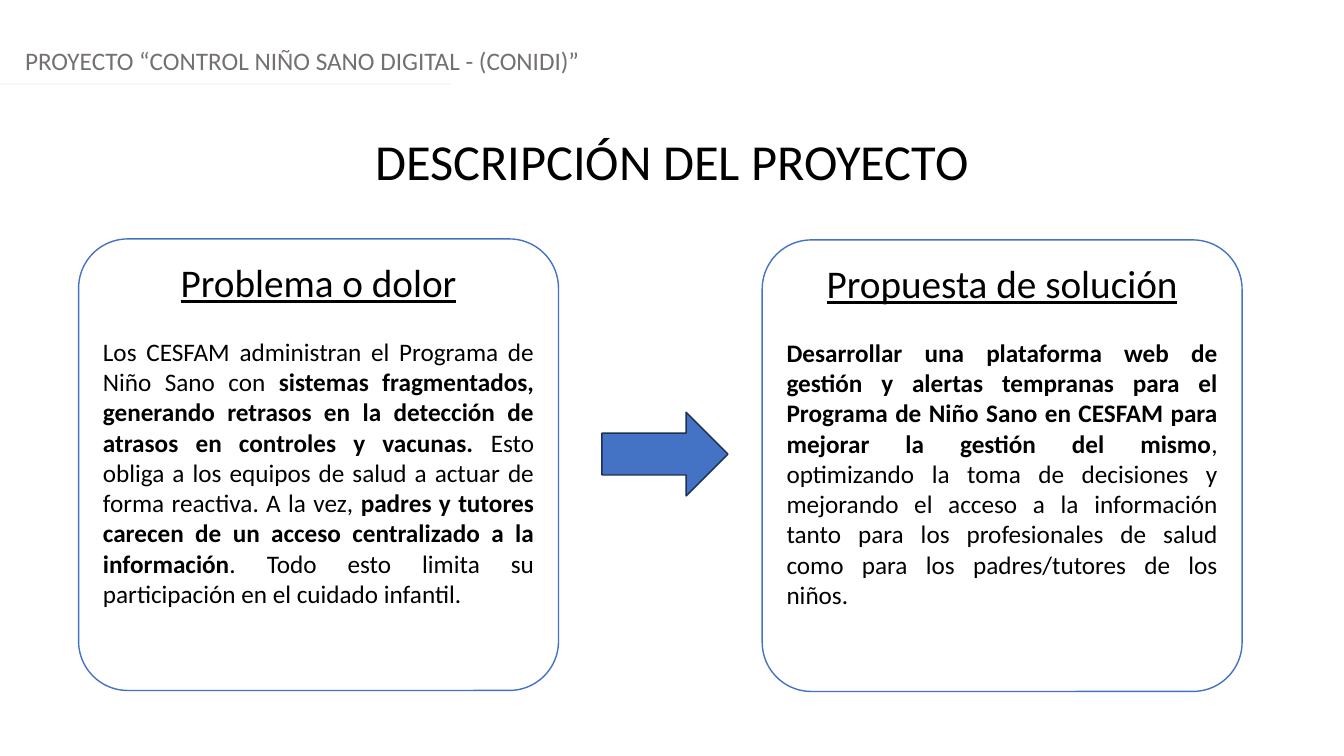
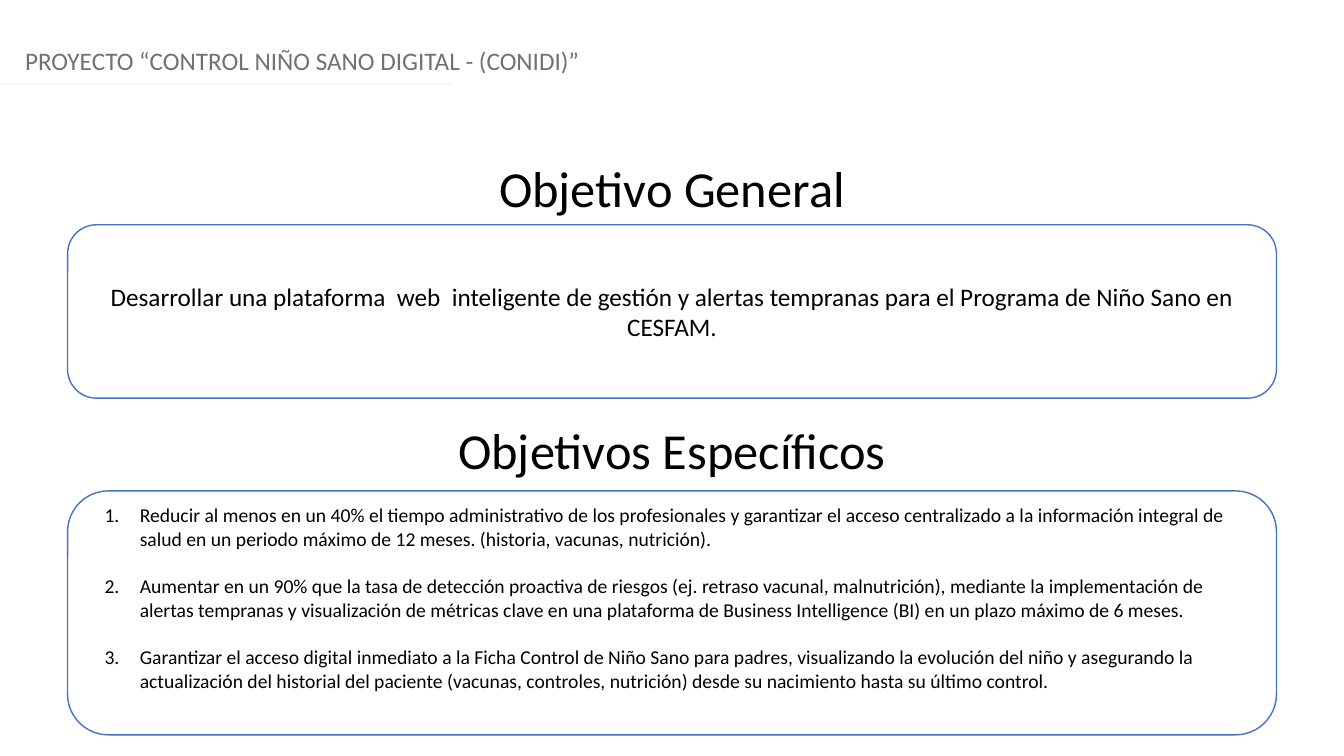
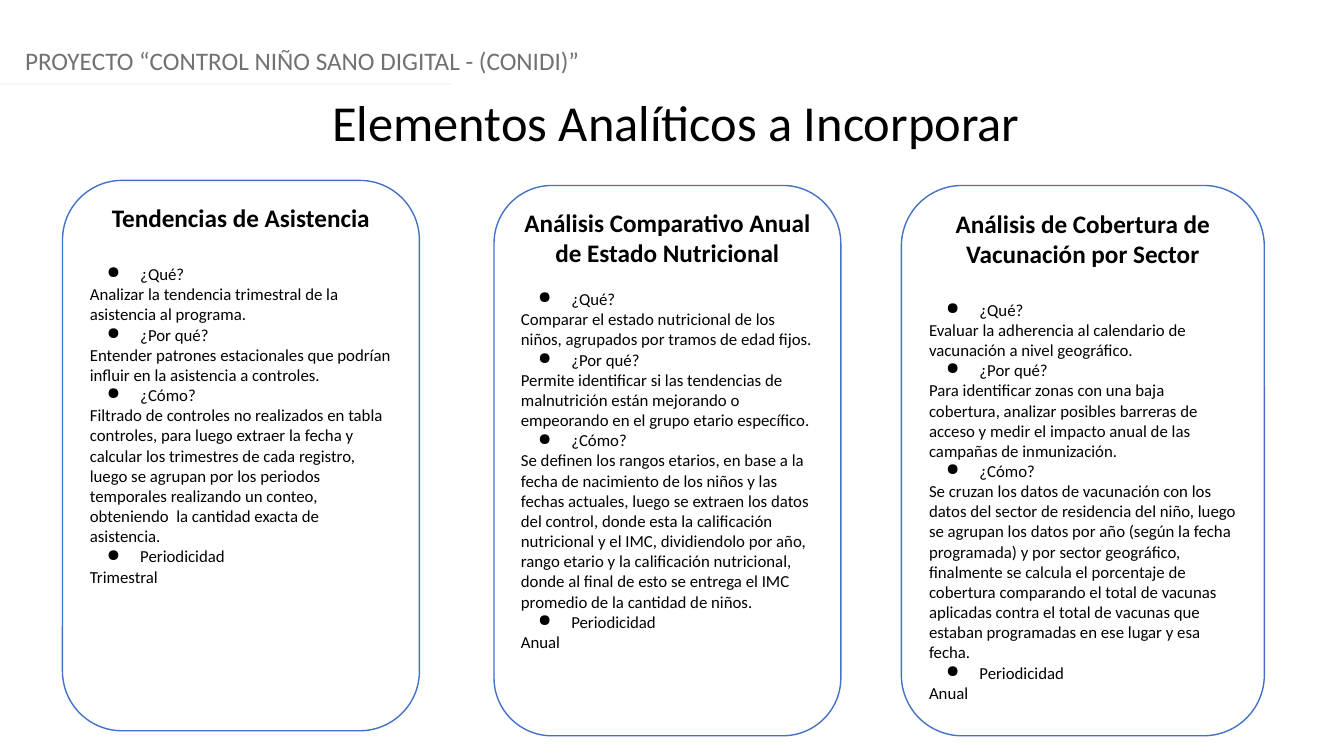
from dataclasses import dataclass

from pptx import Presentation
from pptx.dml.color import RGBColor
from pptx.enum.shapes import MSO_CONNECTOR, MSO_SHAPE
from pptx.enum.text import MSO_ANCHOR, PP_ALIGN
from pptx.oxml.ns import qn
from pptx.util import Inches, Pt
from lxml.etree import SubElement


@dataclass(frozen=True)
class Theme:
    font: str = "Calibri"
    ink: RGBColor = RGBColor(0, 0, 0)
    muted: RGBColor = RGBColor(0x75, 0x70, 0x70)
    paper: RGBColor = RGBColor(0xFF, 0xFF, 0xFF)
    accent: RGBColor = RGBColor(0x44, 0x72, 0xC4)
    accent_dark: RGBColor = RGBColor(0x1C, 0x30, 0x52)
    rule: RGBColor = RGBColor(0xF5, 0xF7, 0xFC)
    title: int = 36
    heading: int = 28
    body: int = 18
    item: int = 14
    small: int = 12
    line_height: float = 1.22


T = Theme()
TITLE_ONLY = 5
SLIDE_W = 13.33
HEADER = "PROYECTO “CONTROL NIÑO SANO DIGITAL - (CONIDI)”"

PROBLEM = [
    ("Los CESFAM administran el Programa de Niño Sano con ", False),
    ("sistemas fragmentados, generando retrasos en la detección de atrasos en "
     "controles y vacunas.", True),
    (" Esto obliga a los equipos de salud a actuar de forma reactiva. A la vez, ", False),
    ("padres y tutores carecen de un acceso centralizado a la información", True),
    (". Todo esto limita su participación en el cuidado infantil.", False),
]
SOLUTION = [
    ("Desarrollar una plataforma web de gestión y alertas tempranas para el Programa "
     "de Niño Sano en CESFAM para mejorar la gestión del mismo", True),
    (", optimizando la toma de decisiones y mejorando el acceso a la información tanto "
     "para los profesionales de salud como para los padres/tutores de los niños.", False),
]
GENERAL_GOAL = ("Desarrollar una plataforma  web  inteligente de gestión y alertas "
                "tempranas para el Programa de Niño Sano en CESFAM.")
SPECIFIC_GOALS = [
    "Reducir al menos en un 40% el tiempo administrativo de los profesionales y garantizar "
    "el acceso centralizado a la información integral de salud en un periodo máximo de 12 "
    "meses. (historia, vacunas, nutrición).",
    "Aumentar en un 90% que la tasa de detección proactiva de riesgos (ej. retraso vacunal, "
    "malnutrición), mediante la implementación de alertas tempranas y visualización de "
    "métricas clave en una plataforma de Business Intelligence (BI) en un plazo máximo de "
    "6 meses.",
    "Garantizar el acceso digital inmediato a la Ficha Control de Niño Sano para padres, "
    "visualizando la evolución del niño y asegurando la actualización del historial del "
    "paciente (vacunas, controles, nutrición) desde su nacimiento hasta su último control.",
]
QUESTIONS = ["¿Qué?", "¿Por qué?", "¿Cómo?", "Periodicidad"]
# box, heading, size of the gap below the heading, answers
ANALYSES = [
    ((0.62, 1.79, 3.54, 5.46), "Tendencias de Asistencia", T.body, [
        "Analizar la tendencia trimestral de la asistencia al programa.",
        "Entender patrones estacionales que podrían influir en la asistencia a controles.",
        "Filtrado de controles no realizados en tabla controles, para luego extraer la fecha "
        "y calcular los trimestres de cada registro, luego se agrupan por los periodos "
        "temporales realizando un conteo, obteniendo  la cantidad exacta de asistencia.",
        "Trimestral",
    ]),
    ((4.9, 1.84, 3.44, 5.46), "Análisis Comparativo Anual de Estado Nutricional", T.small, [
        "Comparar el estado nutricional de los niños, agrupados por tramos de edad fijos.",
        "Permite identificar si las tendencias de malnutrición están mejorando o empeorando "
        "en el grupo etario específico.",
        "Se definen los rangos etarios, en base a la fecha de nacimiento de los niños y las "
        "fechas actuales, luego se extraen los datos del control, donde esta la calificación "
        "nutricional y el IMC, dividiendolo por año, rango etario y la calificación "
        "nutricional, donde al final de esto se entrega el IMC promedio de la cantidad de "
        "niños.",
        "Anual",
    ]),
    ((8.94, 1.84, 3.6, 5.46), "Análisis de Cobertura de Vacunación por Sector", T.body, [
        "Evaluar la adherencia al calendario de vacunación a nivel geográfico.",
        "Para identificar zonas con una baja cobertura, analizar posibles barreras de acceso "
        "y medir el impacto anual de las campañas de inmunización.",
        "Se cruzan los datos de vacunación con los datos del sector de residencia del niño, "
        "luego se agrupan los datos por año (según la fecha programada) y por sector "
        "geográfico, finalmente se calcula el porcentaje de cobertura comparando el total de "
        "vacunas aplicadas contra el total de vacunas que estaban programadas en ese lugar y "
        "esa fecha.",
        "Anual",
    ]),
]


def inches(box):
    return [Inches(v) for v in box]


def add_para(tf, runs, size, align=PP_ALIGN.LEFT, color=T.ink, underline=False, gap=0):
    """Write runs of (text, bold); gap is the point size of one line left free above."""
    p = tf.paragraphs[0]
    if p.runs:
        p = tf.add_paragraph()
    p.alignment = align
    p.space_before = Pt(round(gap * T.line_height))
    for text, bold in runs:
        r = p.add_run()
        r.text = text
        f = r.font
        f.name, f.size, f.bold, f.underline = T.font, Pt(size), bold, underline
        f.color.rgb = color
    return p


def add_bullet(p, hang, tag, **attrs):
    pPr = p._p.get_or_add_pPr()
    pPr.set("marL", str(Inches(0.5)))
    pPr.set("indent", str(-Inches(hang)))
    SubElement(pPr, qn(tag), attrs)


def write_line(sp, text, size, align, color=T.ink):
    """Fill a title or text box with one paragraph set from its top edge."""
    tf = sp.text_frame
    tf.word_wrap = True
    tf.vertical_anchor = MSO_ANCHOR.TOP
    add_para(tf, [(text, False)], size, align, color)


def add_text(slide, box, *line):
    write_line(slide.shapes.add_textbox(*inches(box)), *line)


def add_filled(slide, kind, box, fill, line):
    sp = slide.shapes.add_shape(kind, *inches(box))
    sp.shadow.inherit = False
    sp.fill.solid()
    sp.fill.fore_color.rgb = fill
    sp.line.color.rgb = line
    sp.line.width = Pt(1)
    return sp


def add_card(slide, box, anchor=MSO_ANCHOR.TOP, corner=0.167):
    sp = add_filled(slide, MSO_SHAPE.ROUNDED_RECTANGLE, box, T.paper, T.accent)
    sp.adjustments[0] = corner
    tf = sp.text_frame
    tf.word_wrap = True
    tf.vertical_anchor = anchor
    return tf


def add_header(slide):
    add_text(slide, (0.15, 0.4, SLIDE_W - 0.3, 0.4), HEADER, T.body, PP_ALIGN.LEFT, T.muted)
    rule = slide.shapes.add_connector(MSO_CONNECTOR.STRAIGHT, *inches((0, 0.83, 4.47, 0.83)))
    rule.line.color.rgb = T.rule
    rule.line.width = Pt(1.25)
    SubElement(rule._element.spPr, qn("a:effectLst"))


def new_slide(prs, title, top, left=0):
    slide = prs.slides.add_slide(prs.slide_layouts[TITLE_ONLY])
    sp = slide.shapes.title
    sp.left, sp.top, sp.width, sp.height = inches((left, top, SLIDE_W, 0.71))
    write_line(sp, title, T.title, PP_ALIGN.CENTER)
    add_header(slide)
    return slide


def add_statement(slide, box, heading, runs):
    tf = add_card(slide, box, corner=0.109)
    add_para(tf, [(heading, False)], T.heading, PP_ALIGN.CENTER, underline=True)
    add_para(tf, runs, T.body, PP_ALIGN.JUSTIFY, gap=T.body)


def add_analysis(slide, box, heading, gap, answers):
    tf = add_card(slide, box)
    add_para(tf, [(heading, True)], T.body, PP_ALIGN.CENTER)
    for i, (question, answer) in enumerate(zip(QUESTIONS, answers)):
        p = add_para(tf, [(question, False)], T.small, gap=0 if i else gap)
        add_bullet(p, 0.33, "a:buChar", char="●")
        add_para(tf, [(answer, False)], T.small)


def build_description(prs):
    slide = new_slide(prs, "DESCRIPCIÓN DEL PROYECTO", 1.24)
    add_statement(slide, (0.78, 2.37, 4.76, 4.48), "Problema o dolor", PROBLEM)
    add_statement(slide, (7.56, 2.38, 4.76, 4.48), "Propuesta de solución", SOLUTION)
    add_filled(slide, MSO_SHAPE.RIGHT_ARROW, (5.97, 4.09, 1.25, 0.83), T.accent, T.accent_dark)


def build_goals(prs):
    slide = new_slide(prs, "Objetivo General", 1.51)
    tf = add_card(slide, (0.67, 2.23, 11.99, 1.72), MSO_ANCHOR.MIDDLE)
    add_para(tf, [(GENERAL_GOAL, False)], T.body, PP_ALIGN.CENTER)

    add_text(slide, (0, 4.11, SLIDE_W, 0.71), "Objetivos Específicos", T.title, PP_ALIGN.CENTER)
    tf = add_card(slide, (0.67, 4.87, 11.99, 2.42), MSO_ANCHOR.MIDDLE)
    tf.margin_bottom = Inches(0.35)
    for i, goal in enumerate(SPECIFIC_GOALS):
        p = add_para(tf, [(goal, False)], T.item, gap=T.item if i else 0)
        add_bullet(p, 0.35, "a:buAutoNum", type="arabicPeriod")


def build_analyses(prs):
    slide = new_slide(prs, "Elementos Analíticos a Incorporar", 0.85, 0.04)
    for analysis in ANALYSES:
        add_analysis(slide, *analysis)


def main():
    prs = Presentation()
    prs.slide_width, prs.slide_height = inches((SLIDE_W, 7.5))
    build_description(prs)
    build_goals(prs)
    build_analyses(prs)
    prs.save("out.pptx")


if __name__ == "__main__":
    main()
